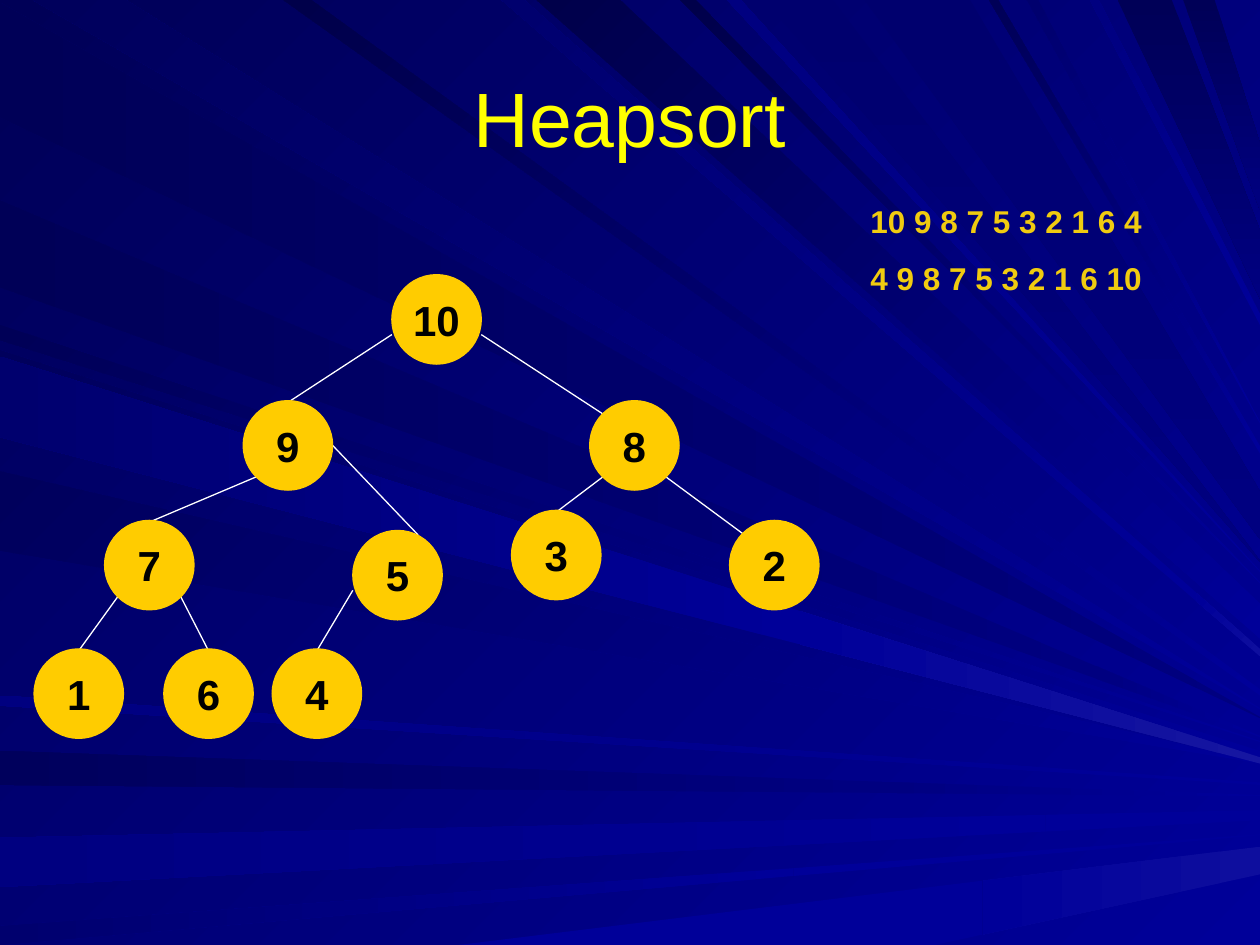
from dataclasses import dataclass
from enum import Enum
from typing import NamedTuple

import pptx
import pptx.dml.color
import pptx.enum.shapes
import pptx.enum.text
import pptx.oxml
import pptx.oxml.ns
import pptx.util
from pptx.enum.text import MSO_ANCHOR, PP_ALIGN


@dataclass(frozen=True)
class Theme:
    font: str = "Arial"
    title: str = "FFFF00"
    sequence: str = "F0CB10"
    node: str = "FFCC00"
    key: str = "000000"
    edge: str = "FFFFFF"
    bright: str = "000099"
    deep: str = "000080"
    dusk: str = "00006E"
    shade: str = "00005C"
    night: str = "000057"
    dark: str = "00004A"
    glow: str = "0E0E9E"
    beam: str = "1616A1"
    title_size: float = 44
    key_size: float = 24
    sequence_size: float = 18
    line_width: float = 0.75


class Side(Enum):
    LEFT = "left"
    TOP = "top"
    BOTTOM = "bottom"


class Site(Enum):
    TOP = (0.5, 0.02)
    RIGHT = (1, 0.5)
    UPPER_LEFT = (0.15, 0.15)
    UPPER_RIGHT = (0.73, 0.05)
    LOWER_LEFT = (0.15, 0.85)
    LOWER_RIGHT = (0.85, 0.85)
    LOW_LEFT = (0, 0.67)
    LOW_RIGHT = (1, 0.67)


class Ray(NamedTuple):
    side: Side
    upper: float
    lower: float
    exit: float
    spread: float
    start: str
    end: str
    angle: int
    split: float = 0
    glow: str = ""


class Node(NamedTuple):
    column: float
    row: float


class Edge(NamedTuple):
    parent: str
    start: Site
    child: str
    end: Site


THEME = Theme()
BRIGHT, DEEP, DUSK = THEME.bright, THEME.deep, THEME.dusk
SHADE, NIGHT, DARK = THEME.shade, THEME.night, THEME.dark
COLUMNS, ROWS = 10, 7.5
DIAMETER = 0.71
DIAGONAL, LEFTWARD, DOWNWARD = 225, 180, 90
LEFT, TOP, BOTTOM = Side

RAYS = [
    Ray(LEFT, 0.02, 0.93, 5.69, 0.01, DEEP, NIGHT, LEFTWARD),
    Ray(TOP, 1, 0.26, 5.62, 0.01, BRIGHT, SHADE, DIAGONAL),
    Ray(LEFT, 5.96, 6.23, 6.31, 0.01, DEEP, SHADE, LEFTWARD, 7, BRIGHT),
    Ray(LEFT, 6.65, 7.04, 6.43, 0.08, BRIGHT, DEEP, LEFTWARD, 8.3, BRIGHT),
    Ray(LEFT, 7.35, 7.5, 6.62, 0.01, BRIGHT, DUSK, LEFTWARD, 6.3, BRIGHT),
    Ray(BOTTOM, 3.64, 7.42, 6.72, 0.22, BRIGHT, BRIGHT, LEFTWARD, 7.8, THEME.glow),
    Ray(LEFT, 2.58, 2.7, 5.88, 0.01, BRIGHT, NIGHT, DIAGONAL),
    Ray(LEFT, 1.59, 2.28, 5.84, 0.01, DEEP, NIGHT, LEFTWARD, 8.7, BRIGHT),
    Ray(TOP, 4.16, 3.98, 5.15, 0.06, BRIGHT, DUSK, DIAGONAL, 9.5, THEME.glow),
    Ray(TOP, 4.92, 4.26, 4.79, 0.28, BRIGHT, DARK, DIAGONAL),
    Ray(TOP, 5.52, 5.4, 4.62, 0.01, BRIGHT, DARK, DIAGONAL),
    Ray(TOP, 6.61, 6.06, 4.45, 0.01, DUSK, DEEP, DOWNWARD),
    Ray(TOP, 9.3, 8.87, 1.83, 0.54, NIGHT, DEEP, DOWNWARD),
    Ray(TOP, 9.64, 9.39, 1.14, 0.53, NIGHT, DEEP, DOWNWARD),
    Ray(LEFT, 2.78, 3.42, 5.96, 0.06, BRIGHT, SHADE, DIAGONAL),
    Ray(LEFT, 3.74, 4.37, 6.05, 0.01, BRIGHT, SHADE, DIAGONAL),
    Ray(LEFT, 5.52, 5.6, 6.21, 0.02, BRIGHT, DEEP, LEFTWARD),
    Ray(TOP, 2.47, 2.25, 5.47, 0.05, BRIGHT, DARK, DIAGONAL),
    Ray(TOP, 5.88, 5.77, 4.53, 0.01, BRIGHT, DEEP, DIAGONAL),
    Ray(TOP, 7.7, 6.86, 3.9, 0.38, DUSK, DEEP, DOWNWARD),
    Ray(TOP, 7.92, 7.85, 3.54, 0.06, BRIGHT, NIGHT, DIAGONAL),
    Ray(TOP, 8.24, 8.15, 3.35, 0.01, BRIGHT, DUSK, DIAGONAL),
    Ray(TOP, 8.72, 8.65, 2.49, 0.09, BRIGHT, DEEP, DIAGONAL),
    Ray(LEFT, 2.83, 3.47, 6.01, 0.05, BRIGHT, DUSK, LEFTWARD, 6.35, THEME.beam),
]

NODES = {
    "10": Node(3.11, 2.18),
    "9": Node(1.93, 3.18),
    "8": Node(4.68, 3.18),
    "7": Node(0.83, 4.13),
    "5": Node(2.8, 4.21),
    "3": Node(4.06, 4.05),
    "2": Node(5.79, 4.13),
    "1": Node(0.27, 5.15),
    "6": Node(1.3, 5.15),
    "4": Node(2.16, 5.15),
}

EDGES = [
    Edge("10", Site.LOW_LEFT, "9", Site.TOP),
    Edge("10", Site.LOW_RIGHT, "8", Site.UPPER_LEFT),
    Edge("9", Site.LOWER_LEFT, "7", Site.TOP),
    Edge("9", Site.RIGHT, "5", Site.UPPER_RIGHT),
    Edge("7", Site.LOWER_LEFT, "1", Site.TOP),
    Edge("7", Site.LOWER_RIGHT, "6", Site.TOP),
    Edge("5", Site.LOW_LEFT, "4", Site.TOP),
    Edge("8", Site.LOWER_LEFT, "3", Site.TOP),
    Edge("8", Site.LOWER_RIGHT, "2", Site.UPPER_LEFT),
]

deck = pptx.Presentation()
deck.slide_width = pptx.util.Inches(COLUMNS)
deck.slide_height = pptx.util.Inches(ROWS)


def across(columns: float) -> int:
    return round(deck.slide_width * columns / COLUMNS)


def down(rows: float) -> int:
    return round(deck.slide_height * rows / ROWS)


def color(code: str) -> pptx.dml.color.RGBColor:
    return pptx.dml.color.RGBColor.from_string(code)


def paint(fill, start: str, end: str, angle: int) -> None:
    fill.gradient()
    fill.gradient_angle = 360 - angle
    for stop, code in zip(fill.gradient_stops, (start, end)):
        stop.color.rgb = color(code)


def write(box, text: str, *, size: float, ink: str, bold: bool = False, align=PP_ALIGN.CENTER,
          anchor=MSO_ANCHOR.MIDDLE, gap: float = 0, inset: bool = True) -> None:
    frame = box.text_frame
    frame.word_wrap = True
    frame.vertical_anchor = anchor
    frame.margin_left = frame.margin_right = pptx.util.Inches(0.1 if inset else 0)
    frame.margin_top = frame.margin_bottom = pptx.util.Inches(0.05 if inset else 0)
    for index, line in enumerate(text.split("\n")):
        para = frame.add_paragraph() if index else frame.paragraphs[0]
        para.alignment = align
        para.space_before = pptx.util.Pt(gap if index else 0)
        span = para.add_run()
        span.text = line
        span.font.name = THEME.font
        span.font.size = pptx.util.Pt(size)
        span.font.bold = bold
        span.font.color.rgb = color(ink)


def draw_band(page, points: list, start: str, end: str, angle: int) -> None:
    corners = [(across(column), down(row)) for column, row in points]
    builder = page.shapes.build_freeform(*corners[0])
    builder.add_line_segments(corners[1:], close=True)
    band = builder.convert_to_shape()
    band.shadow.inherit = False
    band.line.fill.background()
    paint(band.fill, start, end, angle)


def draw_ray(page, ray: Ray) -> None:
    def origin(place: float) -> tuple:
        if ray.side is LEFT:
            return 0, place
        return place, 0 if ray.side is TOP else ROWS

    def cut(begin: tuple, finish: tuple) -> tuple:
        share = (ray.split - begin[0]) / (finish[0] - begin[0])
        return ray.split, begin[1] + share * (finish[1] - begin[1])

    near = [origin(ray.upper), origin(ray.lower)]
    far = [(COLUMNS, ray.exit), (COLUMNS, ray.exit + ray.spread)]
    middle = [cut(*ends) for ends in zip(near, far)] if ray.glow else far
    draw_band(page, near + middle[::-1], ray.start, ray.end, ray.angle)
    if ray.glow:
        draw_band(page, middle + far[::-1], ray.glow, ray.start, ray.angle)


def locate(key: str, site: Site) -> tuple:
    node = NODES[key]
    share_across, share_down = site.value
    return across(node.column + share_across * DIAMETER), down(node.row + share_down * DIAMETER)


def draw_edge(page, edge: Edge) -> None:
    line = page.shapes.add_connector(pptx.enum.shapes.MSO_CONNECTOR.STRAIGHT,
                                     *locate(edge.parent, edge.start), *locate(edge.child, edge.end))
    line.line.color.rgb = color(THEME.edge)
    line.line.width = pptx.util.Pt(THEME.line_width)
    properties = line._element.spPr
    properties.append(properties.makeelement(pptx.oxml.ns.qn("a:effectLst"), {}))


def draw_node(page, key: str, node: Node) -> None:
    circle = page.shapes.add_shape(pptx.enum.shapes.MSO_SHAPE.OVAL, across(node.column), down(node.row),
                                   across(DIAMETER), down(DIAMETER))
    circle.shadow.inherit = False
    circle.fill.solid()
    circle.fill.fore_color.rgb = color(THEME.node)
    circle.line.color.rgb = color(THEME.node)
    circle.line.width = pptx.util.Pt(THEME.line_width)
    write(circle, key, size=THEME.key_size, ink=THEME.key, bold=True, inset=len(key) == 1)


def main() -> None:
    page = deck.slides.add_slide(deck.slide_layouts[6])
    paint(page.background.fill, BRIGHT, NIGHT, DIAGONAL)
    for ray in RAYS:
        draw_ray(page, ray)
    title = page.shapes.add_textbox(across(0.5), down(0.3), across(9), down(1.25))
    write(title, "Heapsort", size=THEME.title_size, ink=THEME.title)
    for edge in EDGES:
        draw_edge(page, edge)
    for key, node in NODES.items():
        draw_node(page, key, node)
    sequence = page.shapes.add_textbox(across(6.81), down(1.55), across(2.84), down(1.32))
    write(sequence, "10 9 8 7 5 3 2 1 6 4\n4 9 8 7 5 3 2 1 6 10", size=THEME.sequence_size,
          ink=THEME.sequence, bold=True, align=PP_ALIGN.LEFT, anchor=MSO_ANCHOR.TOP, gap=11.2)
    deck.save("out.pptx")


if __name__ == "__main__":
    main()
